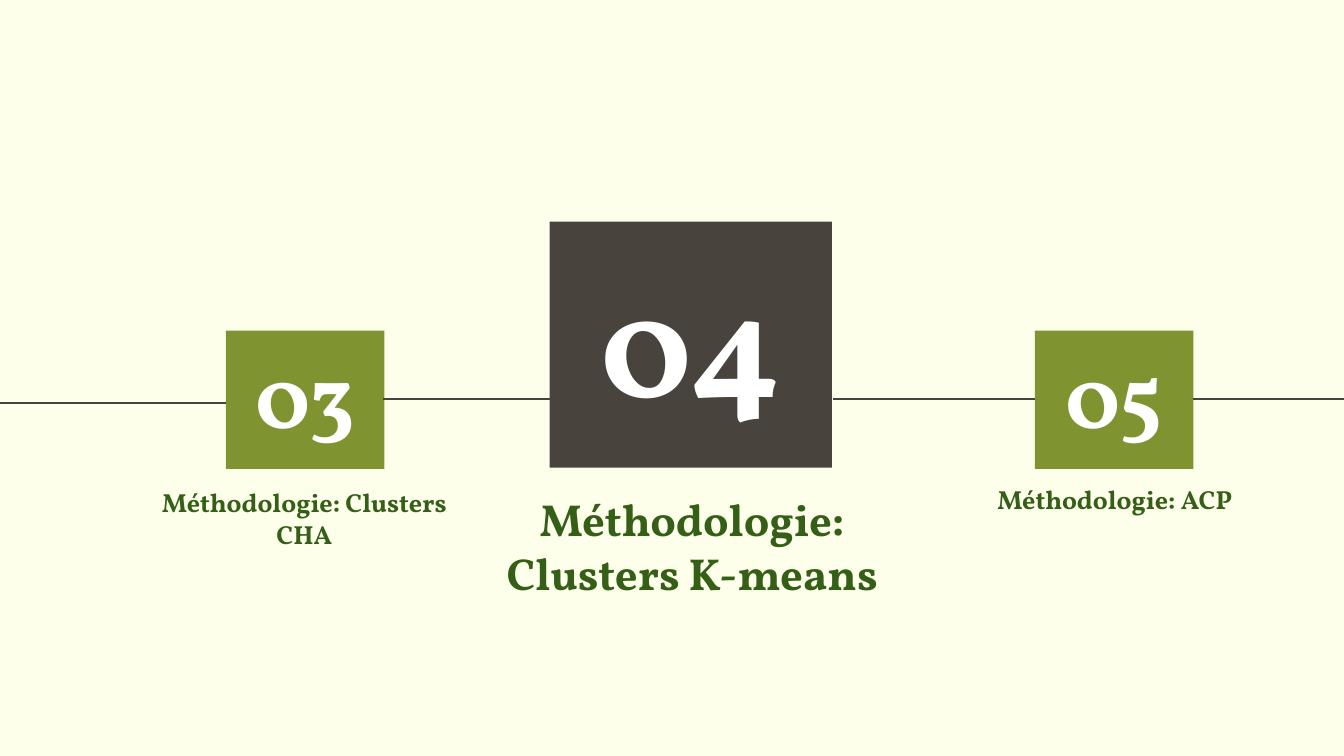
"""Build the section slide that marks step 04 on a timeline of methodology steps."""
from lxml import etree
from pptx import Presentation
from pptx.dml.color import RGBColor
from pptx.enum.shapes import MSO_CONNECTOR, MSO_SHAPE
from pptx.enum.text import MSO_ANCHOR, MSO_AUTO_SIZE, PP_ALIGN
from pptx.oxml.ns import qn
from pptx.util import Inches, Pt

CREAM = RGBColor(0xFD, 0xFF, 0xEB)
OLIVE = RGBColor(0x7F, 0x94, 0x30)
BROWN = RGBColor(0x49, 0x43, 0x3D)
GREEN = RGBColor(0x35, 0x5F, 0x16)
WHITE = RGBColor(0xFF, 0xFF, 0xFF)
FONT = "Vollkorn"
TOP, MIDDLE = MSO_ANCHOR.TOP, MSO_ANCHOR.MIDDLE
CENTER = PP_ALIGN.CENTER
NO_AUTOFIT = MSO_AUTO_SIZE.NONE
RECTANGLE = MSO_SHAPE.RECTANGLE
STRAIGHT = MSO_CONNECTOR.STRAIGHT


def write_text(shape, text, size, color=GREEN, anchor=TOP, bottom=0.1):
    frame = shape.text_frame
    frame.word_wrap = True
    frame.auto_size = NO_AUTOFIT
    frame.vertical_anchor = anchor
    frame.margin_left = frame.margin_right = frame.margin_top = Inches(0.1)
    frame.margin_bottom = Inches(bottom)
    paragraph = frame.paragraphs[0]
    paragraph.alignment = CENTER
    paragraph.space_before = Pt(0)
    run = paragraph.add_run()
    run.text = text
    run.font.name = FONT
    run.font.size = Pt(size)
    run.font.bold = True
    run.font.color.rgb = color


presentation = Presentation()
presentation.slide_width = Inches(10)
presentation.slide_height = Inches(10) * 9 // 16
slide = presentation.slides.add_slide(presentation.slide_layouts[5])
slide.background.fill.solid()
slide.background.fill.fore_color.rgb = CREAM

title = slide.shapes.title
title.left, title.top = Inches(1.09), Inches(3.52)
title.width, title.height = Inches(2.35), Inches(0.63)
write_text(title, "Méthodologie: Clusters CHA", 14)

steps = [
    ("03", 1.68, 2.46, 1.18, 1.03, OLIVE, 48),
    ("04", 4.09, 1.65, 2.1, 1.83, BROWN, 80),
    ("05", 7.7, 2.46, 1.18, 1.03, OLIVE, 48),
]
for number, left, top, width, height, color, size in steps:
    square = slide.shapes.add_shape(
        RECTANGLE, Inches(left), Inches(top), Inches(width), Inches(height)
    )
    square.shadow.inherit = False
    square.fill.solid()
    square.fill.fore_color.rgb = color
    square.line.fill.background()
    write_text(square, number, size, color=WHITE, anchor=MIDDLE, bottom=0.2)

timeline = [(2.85, 4.09, 2.97), (6.2, 7.7, 2.97), (8.88, 10, 2.97), (0, 1.68, 3)]
for start, end, height in timeline:
    line = slide.shapes.add_connector(
        STRAIGHT, Inches(start), Inches(height), Inches(end), Inches(height)
    )
    line.line.color.rgb = BROWN
    line.line.width = Pt(0.75)
    etree.SubElement(line._element.spPr, qn("a:effectLst"))

captions = [
    ("Méthodologie: Clusters K-means", 3.41, 3.56, 3.48, 1.54, 24),
    ("Méthodologie: ACP", 7.12, 3.5, 2.35, 0.7, 14),
]
for text, left, top, width, height, size in captions:
    caption = slide.shapes.add_textbox(
        Inches(left), Inches(top), Inches(width), Inches(height)
    )
    write_text(caption, text, size)

presentation.save("out.pptx")
